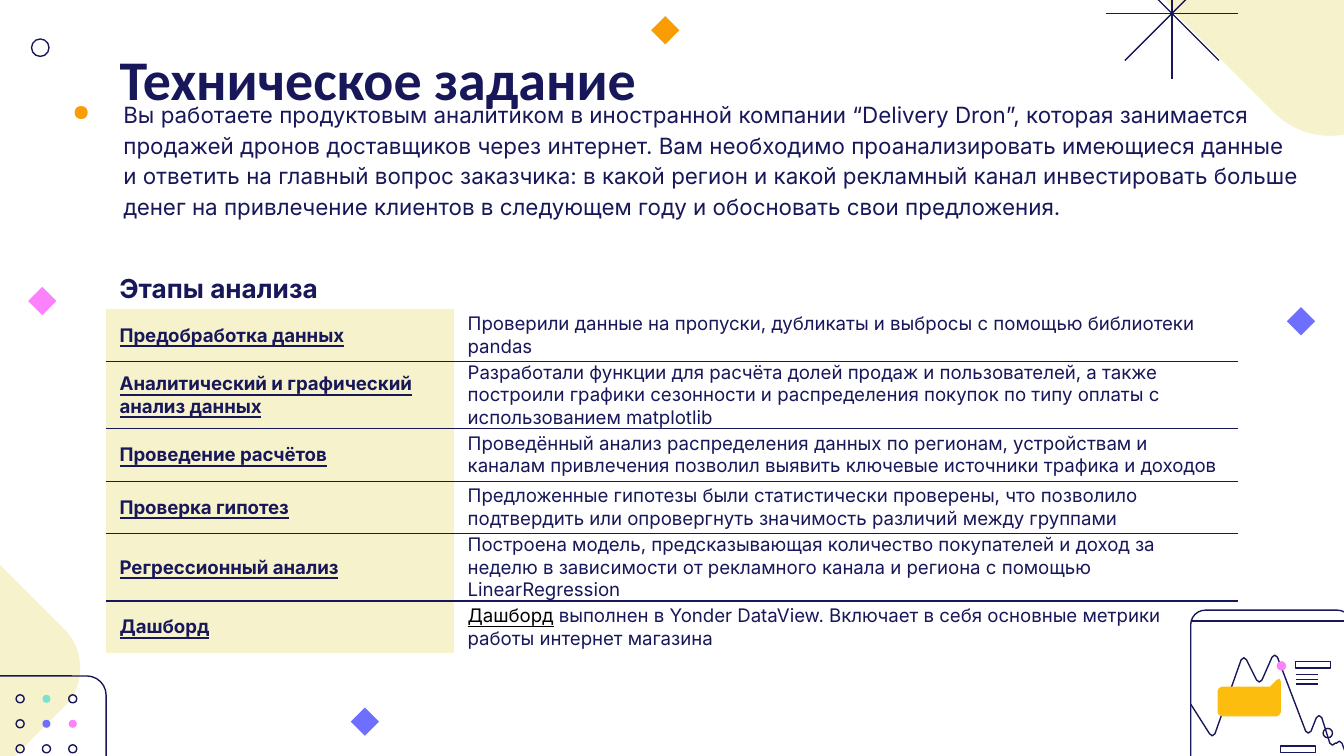
from dataclasses import dataclass
from itertools import product

from lxml import etree
from pptx import Presentation
from pptx.dml.color import RGBColor as RGB
from pptx.enum.shapes import MSO_CONNECTOR as CONN, MSO_SHAPE as SHAPE
from pptx.enum.text import MSO_ANCHOR as ANCHOR, MSO_AUTO_SIZE as FIT, PP_ALIGN as ALIGN
from pptx.oxml.ns import qn
from pptx.util import Inches, Pt


@dataclass(frozen=True)
class Theme:
    navy: str = "17175A"
    cream: str = "F6F2CC"
    orange: str = "FA9D02"
    amber: str = "FCBD0E"
    pink: str = "FC81FD"
    violet: str = "6E6FFF"
    mint: str = "7CE1CF"
    black: str = "000000"
    head_font: str = "Calibri"
    body_font: str = "Inter"
    title: int = 30
    heading: int = 14
    body: int = 12
    cell: int = 10
    stroke: float = 0.75


T = Theme()
prs = Presentation()
prs.slide_width, prs.slide_height = Inches(10), Inches(5.625)
UNIT = prs.slide_width / 100  # one column, and one row, of the slide grid
slide = prs.slides.add_slide(prs.slide_layouts[5])
shapes = slide.shapes


def grid(*cells):
    """Turn grid columns and rows into slide lengths."""
    return [round(c * UNIT) for c in cells]


def paint(s, fill=None, line=None):
    """Give a shape a fill, an outline, both or neither, and no shadow."""
    s.shadow.inherit = False
    for target, color in ((s.fill, fill), (s.line.fill, line)):
        if color:
            target.solid()
            target.fore_color.rgb = RGB.from_string(color)
        else:
            target.background()
    if line:
        s.line.width = Pt(T.stroke)


# Rounded blocks: left, top, width, height, corner share, rotation, fill, line
for *place, corner, turn, fill, line in (
    (88.15, -13.55, 21.6, 21.6, 0.27, 45, T.cream, None),
    (-11.4, 41.8, 15.8, 15.8, 0.26, 45, T.cream, None),
    (88.6, 45.4, 12, 13.5, 0.09, 0, None, T.navy),
    (-2.9, 50.3, 10.8, 9, 0.16, 0, None, T.navy),
):
    s = shapes.add_shape(SHAPE.ROUNDED_RECTANGLE, *grid(*place))
    s.adjustments[0] = corner
    s.rotation = turn
    paint(s, fill, line)

# Small marks: shape, centre column and row, width, height, fill, line
marks = [
    (SHAPE.DIAMOND, 3.15, 22.4, 2.1, 2.1, T.pink, None),
    (SHAPE.DIAMOND, 27.15, 53.7, 2.1, 2.1, T.violet, None),
    (SHAPE.DIAMOND, 49.5, 2.25, 2.1, 2.1, T.orange, None),
    (SHAPE.DIAMOND, 96.8, 23.9, 2.1, 2.1, T.violet, None),
    (SHAPE.OVAL, 3, 3.55, 1.3, 1.3, None, T.navy),
    (SHAPE.RECTANGLE, 97.7, 49.45, 2.6, 0.5, None, T.navy),
    (SHAPE.RECTANGLE, 96.6, 55.75, 2.6, 0.5, None, T.navy),
]
dot_fills = {(0, 1): T.mint, (1, 1): T.violet, (1, 2): T.pink}
for row, col in product(range(3), repeat=2):
    fill = dot_fills.get((row, col))
    marks.append((SHAPE.OVAL, 1.5 + 1.96 * col, 52 + 1.86 * row, 0.6, 0.6,
                  fill, None if fill else T.navy))

# Zigzag of the chart window: each turn has a slightly rounded tip
turns = [(90.2, 54.6, 1), (92.55, 49.1, -1), (93.7, 50.6, 1), (94.85, 48.9, -1),
         (97.35, 54.4, 1), (98.15, 53.4, -1), (99.15, 55.3, 1), (99.65, 55.3, -1)]
zigzag = [(88.6, 52.4)]
for x, y, way in turns:
    zigzag += [(x - 0.2, y), (x, y + 0.15 * way), (x + 0.2, y)]
zigzag.append((100.7, 57.6))
bubble = [(94.5, 51.1), (90.9, 51.1), (90.7, 51.2), (90.6, 51.4), (90.6, 53),
          (90.7, 53.2), (90.9, 53.3), (95, 53.3), (95.2, 53.2), (95.3, 53),
          (95.3, 50.7), (95.2, 50.5), (95, 50.6)]
for points, closed, fill, line in ((zigzag, False, None, T.navy),
                                   (bubble, True, T.amber, None)):
    start, *rest = [grid(*pt) for pt in points]
    outline = shapes.build_freeform(*start)
    outline.add_line_segments(rest, close=closed)
    paint(outline.convert_to_shape(), fill, line)

marks += [(SHAPE.OVAL, 95.35, 49.55, 0.7, 0.7, T.pink, None),
          (SHAPE.OVAL, 98.8, 54.55, 0.7, 0.7, None, T.navy)]
for kind, x, y, w, h, fill, line in marks:
    paint(shapes.add_shape(kind, *grid(x - w / 2, y - h / 2, w, h)), fill, line)

# Star rays, window bar and lines of the chart legend
strokes = [(87.2, -4, 87.2, 5.9), (82.3, 1, 92.1, 1),
           (90.7, -2.5, 83.7, 4.5), (90.7, 4.5, 83.7, -2.5),
           (88.6, 46.2, 100.7, 46.2)]
strokes += [(96.4, y, 98.1, y) for y in (50.2, 50.55, 50.9)]
for ends in strokes:
    s = shapes.add_connector(CONN.STRAIGHT, *grid(*ends))
    s.line.color.rgb = RGB.from_string(T.navy)
    s.line.width = Pt(T.stroke)
    etree.SubElement(s._element.spPr, qn("a:effectLst"))

# Title, task and table heading
task = ("Вы работаете продуктовым аналитиком в иностранной компании “Delivery Dron”, "
        "которая занимается продажей дронов доставщиков через интернет. Вам необходимо "
        "проанализировать имеющиеся данные и ответить на главный вопрос заказчика: в какой "
        "регион и какой рекламный канал инвестировать больше денег на привлечение клиентов "
        "в следующем году и обосновать свои предложения.")
for s, place, text, anchor, font in (
    (shapes.title, (7.9, 2.3, 84.3, 6.3), "Техническое задание", ANCHOR.TOP,
     dict(name=T.head_font, size=Pt(T.title), bold=True)),
    (None, (3.2, 6.2, 94.7, 13.5), task, ANCHOR.TOP,
     dict(name=T.body_font, size=Pt(T.body), bold=False)),
    (None, (7.9, 18.7, 68, 4.9), "Этапы анализа", ANCHOR.BOTTOM,
     dict(name=T.body_font, size=Pt(T.heading), bold=True)),
):
    s = s or shapes.add_textbox(0, 0, 0, 0)
    s.left, s.top, s.width, s.height = grid(*place)
    tf = s.text_frame
    frame = dict(word_wrap=True, auto_size=FIT.NONE, vertical_anchor=anchor)
    frame.update({f"margin_{side}": Inches(0.1) for side in ("left", "top", "right", "bottom")})
    for key, value in frame.items():
        setattr(tf, key, value)
    p = tf.paragraphs[0]
    p.alignment = ALIGN.LEFT
    if text == task:
        p.line_spacing = 1.15
        pPr = p._p.get_or_add_pPr()
        pPr.set("marL", str(Inches(0.5)))
        pPr.set("indent", str(Inches(-0.38)))
        color = etree.SubElement(pPr, qn("a:buClr"))
        etree.SubElement(color, qn("a:srgbClr"), val=T.orange)
        etree.SubElement(pPr, qn("a:buChar"), char="●")
    r = p.add_run()
    r.text = text
    for key, value in font.items():
        setattr(r.font, key, value)
    r.font.color.rgb = RGB.from_string(T.navy)

# Stages of the analysis
stages = [
    ("Предобработка данных",
     "Проверили данные на пропуски, дубликаты и выбросы с помощью библиотеки pandas"),
    ("Аналитический и графический анализ данных",
     "Разработали функции для расчёта долей продаж и пользователей, а также построили графики "
     "сезонности и распределения покупок по типу оплаты с использованием matplotlib"),
    ("Проведение расчётов",
     "Проведённый анализ распределения данных по регионам, устройствам и каналам привлечения "
     "позволил выявить ключевые источники трафика и доходов"),
    ("Проверка гипотез",
     "Предложенные гипотезы были статистически проверены, что позволило подтвердить или "
     "опровергнуть значимость различий между группами"),
    ("Регрессионный анализ",
     "Построена модель, предсказывающая количество покупателей и доход за неделю в зависимости "
     "от рекламного канала и региона с помощью LinearRegression"),
    ("Дашборд",
     " выполнен в Yonder DataView. Включает в себя основные метрики работы интернет магазина"),
]
table = shapes.add_table(len(stages), 2, *grid(7.9, 23, 84.2, 3.9 * len(stages))).table
table.first_row = table.horz_banding = False
table._tbl.tblPr[0].text = "{2D5ABB26-0587-4C30-8999-92F81FD0307C}"  # no style, no grid
for column, width in zip(table.columns, grid(25.9, 58.3)):
    column.width = width
for i, (name, result) in enumerate(stages):
    last = i == len(stages) - 1
    table.rows[i].height = grid(3.9)[0]
    # Runs of each cell: text, bold, underline, colour
    runs = [[(name, True, True, T.navy)], [(result, False, False, T.navy)]]
    if last:
        runs[1].insert(0, (name, False, True, T.black))
    for cell, cell_runs, fill in zip(table.rows[i].cells, runs, (T.cream, None)):
        for key, value in dict(vertical_anchor=ANCHOR.MIDDLE, margin_left=Inches(0.1),
                               margin_right=Inches(0.1), margin_top=0, margin_bottom=0).items():
            setattr(cell, key, value)
        if fill:
            cell.fill.solid()
            cell.fill.fore_color.rgb = RGB.from_string(fill)
        else:
            cell.fill.background()
        if not last:
            border = etree.Element(qn("a:lnB"), w=str(Pt(T.stroke)))
            solid = etree.SubElement(border, qn("a:solidFill"))
            etree.SubElement(solid, qn("a:srgbClr"), val=T.navy)
            cell._tc.get_or_add_tcPr().insert(0, border)
        for text, bold, underline, color in cell_runs:
            r = cell.text_frame.paragraphs[0].add_run()
            r.text = text
            for key, value in dict(name=T.body_font, size=Pt(T.cell), bold=bold,
                                   underline=underline).items():
                setattr(r.font, key, value)
            r.font.color.rgb = RGB.from_string(color)

prs.save("out.pptx")
